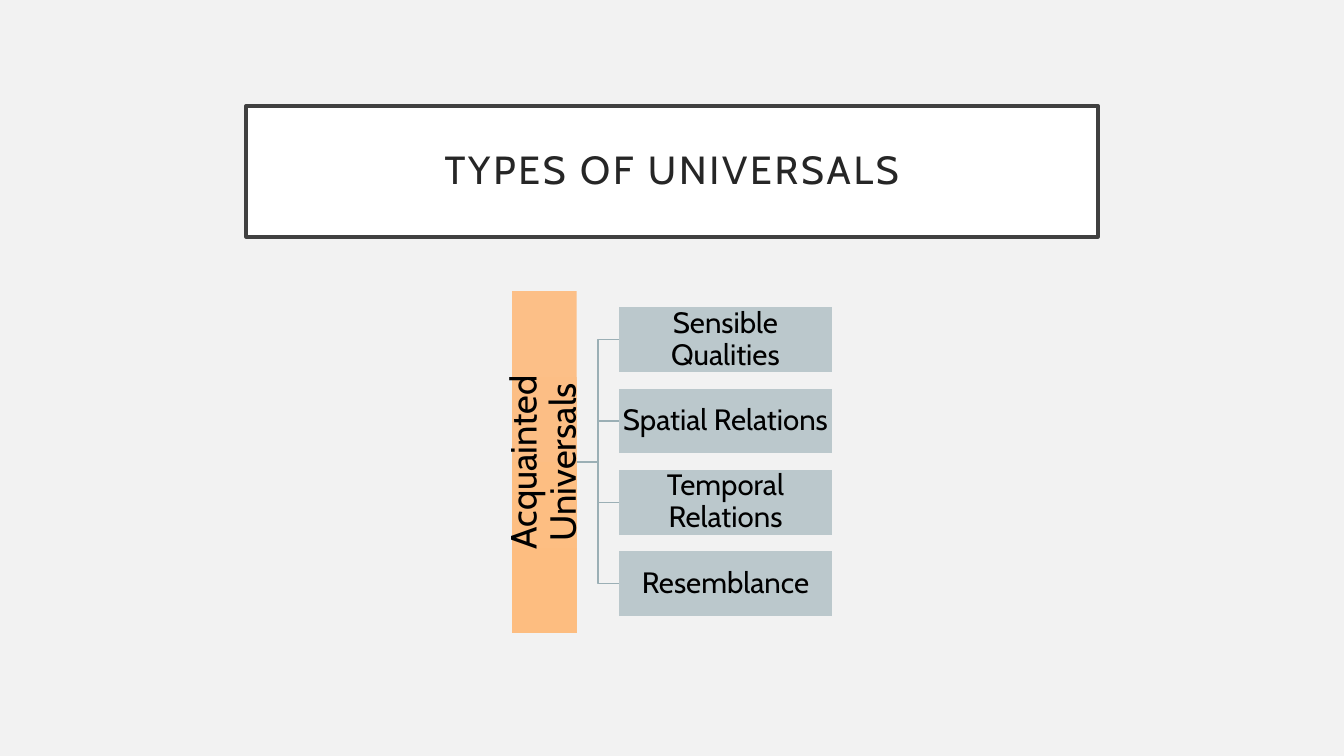
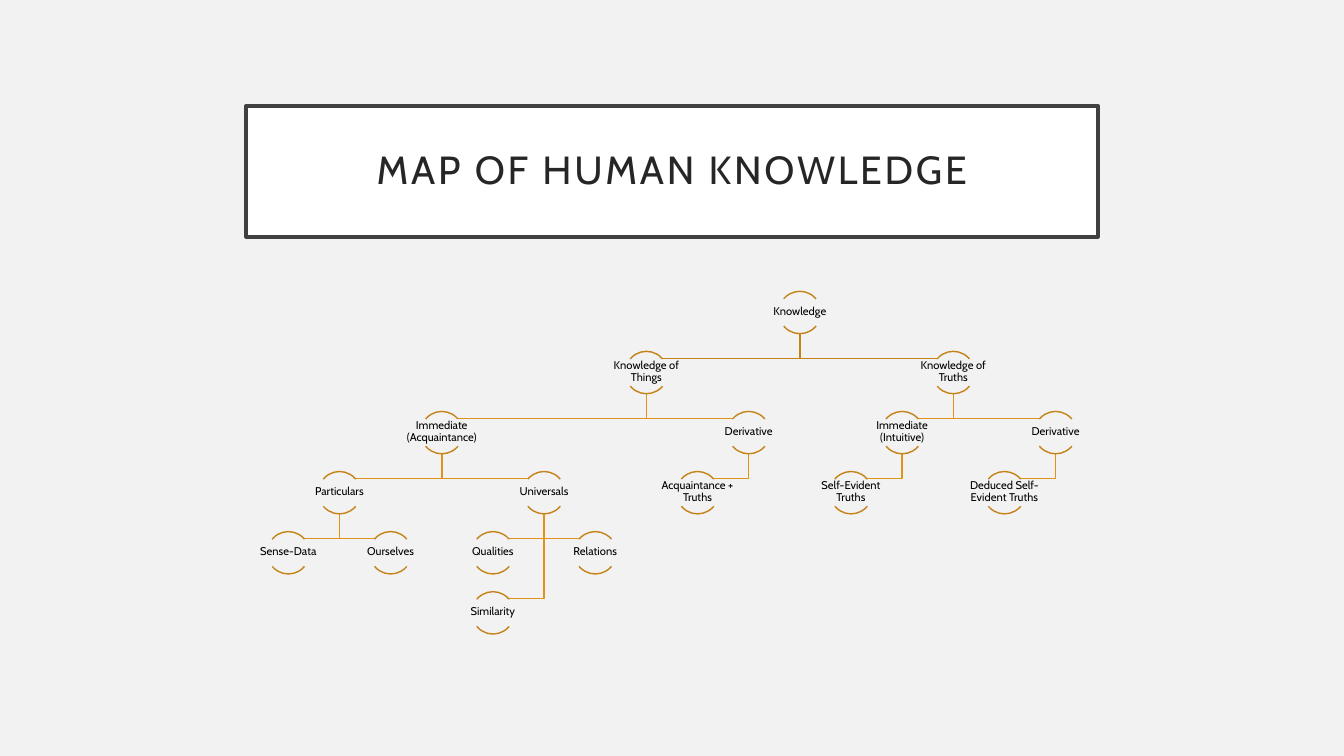
import pptx
import pptx.dml.color
import pptx.enum.dml
import pptx.enum.shapes
import pptx.enum.text
import pptx.util
from lxml import etree

Inches = pptx.util.Inches
Pt = pptx.util.Pt
Shape = pptx.enum.shapes.MSO_SHAPE

TYPES = ["Sensible Qualities", "Spatial Relations", "Temporal Relations", "Resemblance"]

KNOWLEDGE = ("Knowledge", 10, [
    ("Knowledge of Things", 7, [
        ("Immediate (Acquaintance)", 3, [
            ("Particulars", 1, [
                ("Sense-Data", 0, []),
                ("Ourselves", 2, []),
            ]),
            ("Universals", 5, [
                ("Qualities", 4, []),
                ("Relations", 6, []),
                ("Similarity", 4, []),
            ]),
        ]),
        ("Derivative", 9, [("Acquaintance + Truths", 8, [])]),
    ]),
    ("Knowledge of Truths", 13, [
        ("Immediate (Intuitive)", 12, [("Self-Evident Truths", 11, [])]),
        ("Derivative", 15, [("Deduced Self-Evident Truths", 14, [])]),
    ]),
])


def colour(code):
    return pptx.dml.color.RGBColor.from_string(code)


def write(shape, text, size, ink="000000", inset=0.01, spacing=None, direction=None):
    frame = shape.text_frame
    frame.word_wrap = True
    frame.auto_size = pptx.enum.text.MSO_AUTO_SIZE.NONE
    frame.vertical_anchor = pptx.enum.text.MSO_ANCHOR.MIDDLE
    frame.margin_left = frame.margin_right = Inches(inset)
    frame.margin_top = frame.margin_bottom = Inches(inset)
    if direction:
        frame._txBody.bodyPr.set("vert", direction)
    para = frame.paragraphs[0]
    para.alignment = pptx.enum.text.PP_ALIGN.CENTER
    para.line_spacing = 0.9
    span = para.add_run()
    span.text = text
    span.font.name = "Cabin"
    span.font.size = Pt(size)
    span.font.color.rgb = colour(ink)
    if spacing:
        span.font._element.set("spc", str(spacing * 100))


class Presenter:
    background = "F2F2F2"
    title_ink = "262626"
    title_border = "404040"
    bracket = "9BAFB5"
    spine = ("FCBF87", "FDBD80")
    card = ("BBC8CC", "B8C6CB")
    arc = "C58217"
    branch = "DF931A"

    def __init__(self):
        self.deck = pptx.Presentation()
        self.deck.slide_width = Inches(13.33)
        self.deck.slide_height = Inches(7.5)
        fill = self.deck.slide_master.background.fill
        fill.solid()
        fill.fore_color.rgb = colour(self.background)
        self.page = None

    def add_page(self, text):
        self.page = self.deck.slides.add_slide(self.deck.slide_layouts[5])
        title = self.page.shapes.title
        title.left, title.top = Inches(2.44), Inches(1.05)
        title.width, title.height = Inches(8.45), Inches(1.3)
        title.fill.solid()
        title.fill.fore_color.rgb = colour("FFFFFF")
        self.outline(title, self.title_border, 2.5)
        write(title, text, 28, ink=self.title_ink, inset=0.2, spacing=2)

    def outline(self, shape, code, width=1):
        shape.line.color.rgb = colour(code)
        shape.line.width = Pt(width)

    def box(self, left, top, width, height, shades, text, size, **style):
        box = self.page.shapes.add_shape(
            Shape.RECTANGLE, Inches(left), Inches(top), Inches(width), Inches(height))
        box.shadow.inherit = False
        box.line.fill.background()
        box.fill.gradient()
        box.fill.gradient_angle = 270
        for stop, position, shade in zip(box.fill.gradient_stops, (0, 1), shades):
            stop.position = position
            stop.color.rgb = colour(shade)
        write(box, text, size, **style)
        return box

    def join(self, start, end):
        link = self.page.shapes.add_connector(
            pptx.enum.shapes.MSO_CONNECTOR.ELBOW, 0, 0, 0, 0)
        link.begin_connect(start, 3)
        link.end_connect(end, 1)
        self.outline(link, self.bracket)
        etree.SubElement(link._element.spPr, pptx.oxml.ns.qn("a:effectLst"))

    def elbow(self, start, end, code):
        corner = (start[0], end[1])
        points = [(Inches(x), Inches(y)) for x, y in (start, corner, end)]
        builder = self.page.shapes.build_freeform(*points[0])
        builder.add_line_segments(points[1:], close=False)
        branch = builder.convert_to_shape()
        branch.shadow.inherit = False
        branch.fill.background()
        self.outline(branch, code)

    def node(self, centre, top, text):
        for angles in ((132, 192), (24, 84)):
            arc = self.page.shapes.add_shape(
                Shape.ARC, Inches(centre - 0.21), Inches(top), Inches(0.42), Inches(0.42))
            arc.adjustments[0], arc.adjustments[1] = angles
            arc.shadow.inherit = False
            arc.fill.background()
            self.outline(arc, self.arc)
        label = self.page.shapes.add_textbox(
            Inches(centre - 0.42), Inches(top + 0.07), Inches(0.84), Inches(0.27))
        write(label, text, 8)

    def tree(self, branch, row=0):
        text, column, children = branch
        centre, top = self.place(column, row)
        for index, child in enumerate(children):
            child_row = row + 1 + index // 2
            child_centre, child_top = self.place(child[1], child_row)
            side = 0.16 if child_centre < centre else -0.16
            self.elbow((centre, top + 0.42), (child_centre + side, child_top + 0.07),
                       self.branch if row else self.arc)
            self.tree(child, child_row)
        self.node(centre, top, text)

    def place(self, column, row):
        return 2.86 + column * 7.61 / 15, 2.89 + row * 2.98 / 5


def main():
    show = Presenter()

    show.add_page("TYPES OF UNIVERSALS")
    spine = show.box(5.08, 2.89, 0.64, 3.39, show.spine, "Acquainted Universals", 26,
                     inset=0.02, direction="vert270")
    for index, name in enumerate(TYPES):
        card = show.box(6.14, 3.05 + index * 2.42 / 3, 2.11, 0.64, show.card, name, 21)
        show.join(spine, card)

    show.add_page("MAP OF HUMAN KNOWLEDGE")
    show.tree(KNOWLEDGE)

    show.deck.save("out.pptx")


if __name__ == "__main__":
    main()
